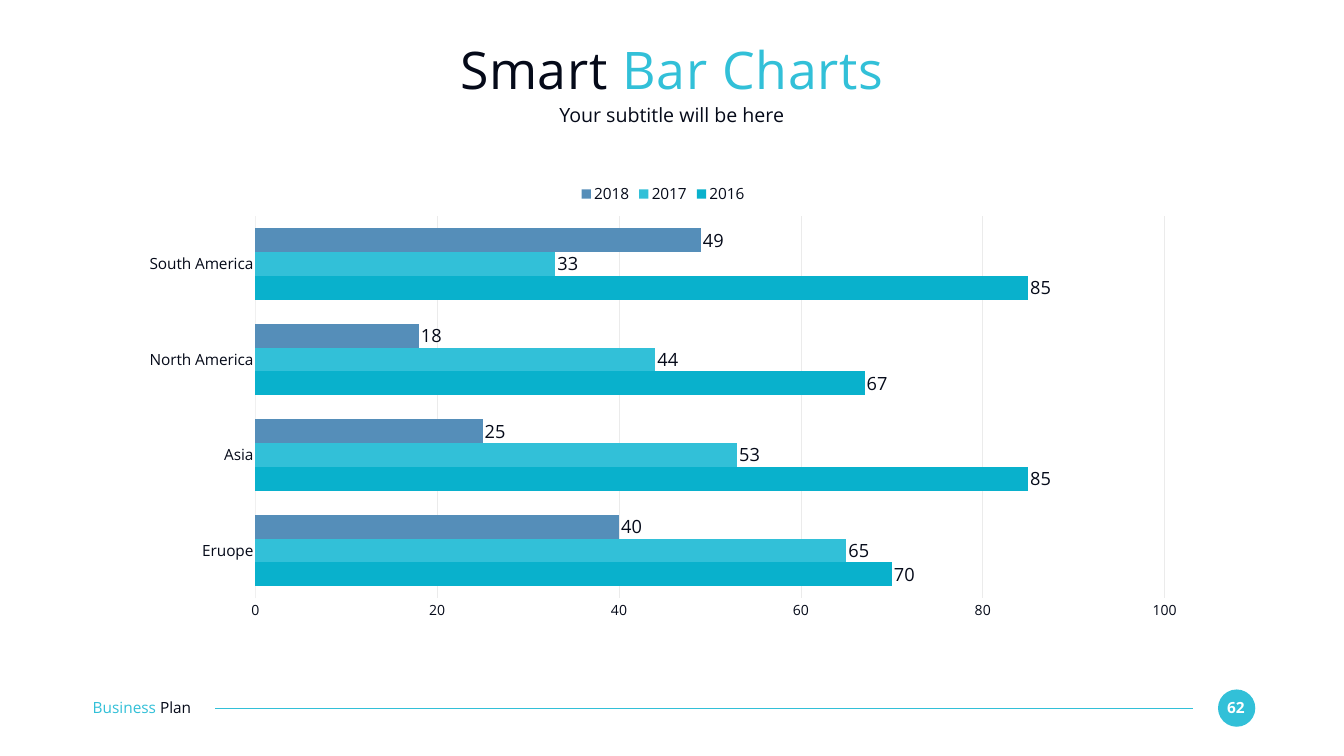
import pptx
import pptx.chart.data
import pptx.dml.color
import pptx.enum.chart
import pptx.enum.shapes
import pptx.enum.text
import pptx.oxml
import pptx.oxml.ns
import pptx.util
from pptx.util import Inches, Pt

FONT = "Open Sans"
DARK, CYAN, WHITE = "050A19", "32C0D8", "FFFFFF"
CENTER = pptx.enum.text.PP_ALIGN.CENTER
MIDDLE = pptx.enum.text.MSO_ANCHOR.MIDDLE


def style(font, size, color):
    font.name = FONT
    font.size = Pt(size)
    font.color.rgb = pptx.dml.color.RGBColor.from_string(color)


def write(shape, box, runs, size, align):
    """Place a text shape and fill its one paragraph with (text, colour) runs."""
    shape.left, shape.top, shape.width, shape.height = map(Inches, box)
    frame = shape.text_frame
    frame.margin_left = frame.margin_top = frame.margin_right = frame.margin_bottom = 0
    frame.word_wrap = True
    frame.auto_size = pptx.enum.text.MSO_AUTO_SIZE.NONE
    frame.vertical_anchor = MIDDLE
    paragraph = frame.paragraphs[0]
    paragraph.alignment = align
    paragraph.line_spacing = 1.0
    paragraph.space_before = Pt(0)
    for text, color in runs:
        run = paragraph.add_run()
        run.text = text
        style(run.font, size, color)
    return paragraph


deck = pptx.Presentation()
deck.slide_width, deck.slide_height = Inches(26.67), Inches(15)
slide = deck.slides.add_slide(deck.slide_layouts[1])
shapes = slide.shapes

# Heading
title = write(shapes.title, (1.83, 0.73, 23, 1.27),
              [("Smart ", DARK), ("Bar Charts", CYAN)], 74, CENTER)
for run in title.runs:
    run.font._element.set("spc", "100")

subtitle = write(slide.placeholders[1], (1.83, 2.03, 23, 0.49),
                 [("Your subtitle will be here", DARK)], 28, CENTER)
properties = subtitle._p.get_or_add_pPr()
properties.set("marL", "0")
properties.set("indent", "0")
properties.append(properties.makeelement(pptx.oxml.ns.qn("a:buNone")))

# Chart
data = pptx.chart.data.CategoryChartData()
data.categories = ["Eruope", "Asia", "North America", "South America"]
years = [
    ("2016", (70, 85, 67, 85), "09B1CC"),
    ("2017", (65, 53, 44, 33), CYAN),
    ("2018", (40, 25, 18, 49), "558EB9"),
]
for year, values, _ in years:
    data.add_series(year, values)
chart = shapes.add_chart(pptx.enum.chart.XL_CHART_TYPE.BAR_CLUSTERED, Inches(2.54),
                         Inches(3.51), Inches(21.23), Inches(8.96), data).chart
style(chart.font, 22, DARK)
chart.has_title = False
chart.has_legend = True
chart.legend.position = pptx.enum.chart.XL_LEGEND_POSITION.TOP
chart.legend.include_in_layout = False
style(chart.legend.font, 22, DARK)

plot = chart.plots[0]
plot.gap_width = 102
plot.overlap = 0
plot.vary_by_categories = False
for series, (_, _, color) in zip(plot.series, years):
    series.format.fill.solid()
    series.format.fill.fore_color.rgb = pptx.dml.color.RGBColor.from_string(color)
    labels = series.data_labels
    labels.show_value = True
    labels.position = pptx.enum.chart.XL_LABEL_POSITION.OUTSIDE_END
    style(labels.font, 26, DARK)

regions, scale = chart.category_axis, chart.value_axis
for axis, size in ((regions, 22), (scale, 20)):
    axis.major_tick_mark = axis.minor_tick_mark = pptx.enum.chart.XL_TICK_MARK.NONE
    style(axis.tick_labels.font, size, DARK)
regions.format.line.color.rgb = pptx.dml.color.RGBColor.from_string("F0F0F0")
regions.format.line.width = Pt(0.75)
scale.format.line.fill.background()
scale.minimum_scale, scale.maximum_scale, scale.major_unit = 0, 100, 20
scale.has_major_gridlines = True
gridlines = scale.major_gridlines.format.line
gridlines.color.rgb = pptx.dml.color.RGBColor.from_string("EBEBEB")
gridlines.width = Pt(1)

plot_area = chart._chartSpace.chart.plotArea
for old_layout in plot_area.findall(pptx.oxml.ns.qn("c:layout")):
    plot_area.remove(old_layout)
plot_area.insert(0, pptx.oxml.parse_xml(
    f'<c:layout {pptx.oxml.ns.nsdecls("c")}><c:manualLayout>'
    '<c:layoutTarget val="inner"/><c:xMode val="edge"/><c:yMode val="edge"/>'
    '<c:x val="0.119"/><c:y val="0.087"/><c:w val="0.85"/><c:h val="0.846"/>'
    '</c:manualLayout></c:layout>'))

# Footer
write(shapes.add_textbox(0, 0, 0, 0), (1.84, 13.84, 2.59, 0.37),
      [("Business ", CYAN), ("Plan", DARK)], 22, pptx.enum.text.PP_ALIGN.LEFT)

rule = shapes.add_connector(pptx.enum.shapes.MSO_CONNECTOR.STRAIGHT,
                            Inches(4.27), Inches(14.05), Inches(23.67), Inches(14.05))
rule.line.color.rgb = pptx.dml.color.RGBColor.from_string(CYAN)
rule.line.width = Pt(1.5)
rule_properties = rule._element.spPr
rule_properties.append(rule_properties.makeelement(pptx.oxml.ns.qn("a:effectLst")))

badge = shapes.add_shape(pptx.enum.shapes.MSO_SHAPE.OVAL,
                         Inches(24.17), Inches(13.68), Inches(0.74), Inches(0.74))
badge.shadow.inherit = False
badge.fill.solid()
badge.fill.fore_color.rgb = pptx.dml.color.RGBColor.from_string(CYAN)
badge.line.fill.background()
page_number = write(shapes.add_textbox(0, 0, 0, 0), (24.23, 13.85, 0.59, 0.37),
                    [("62", WHITE)], 22, CENTER)
page_number.runs[0].font.bold = True

deck.save("out.pptx")
